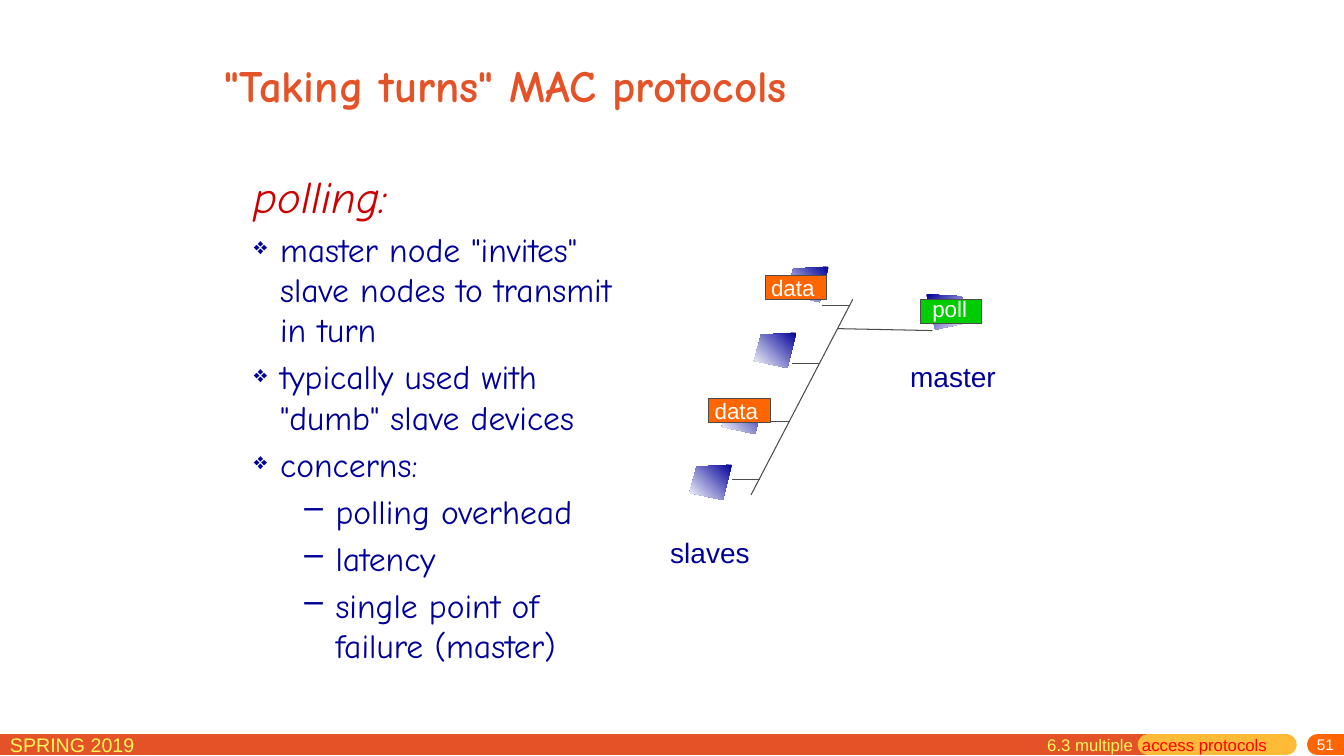
"""Build the slide on polling MAC protocols, with lengths in percent of the slide's size."""
from lxml.etree import SubElement
from pptx import Presentation
from pptx.dml.color import RGBColor
from pptx.enum.shapes import MSO_CONNECTOR, MSO_SHAPE
from pptx.enum.text import MSO_ANCHOR, PP_ALIGN
from pptx.oxml.ns import qn
from pptx.util import Inches, Pt

C = {k: RGBColor.from_string(v) for k, v in {
    "orange": "E45327", "amber": "FFBA37", "page": "FF6600", "lemon": "FFF65C",
    "red": "FF0000", "crimson": "CC0000", "navy": "000099", "white": "FFFFFF",
    "gray": "4C4C4C", "green": "00CC00"}.items()}

prs = Presentation()
prs.slide_width, prs.slide_height = Inches(13.33), Inches(7.5)
s = prs.slides.add_slide(prs.slide_layouts[6])


def place(*shares):
    size = prs.slide_width, prs.slide_height
    return [round(size[i % 2] * v / 100) for i, v in enumerate(shares)]


def text(*runs, box=None, tf=None, size=16, color="navy", font="Arial", bold=False,
         italic=False, align=PP_ALIGN.LEFT, anchor=MSO_ANCHOR.TOP, wrap=True,
         before=0, left=0, hang=0, bullet=None, bullet_size=100, tab=None):
    if tf is None:
        tf = s.shapes.add_textbox(*place(*box)).text_frame
        tf.word_wrap, tf.vertical_anchor = wrap, anchor
        p = tf.paragraphs[0]
    else:
        p = tf.add_paragraph()
    p.alignment = align
    if before:
        p.space_before = Pt(before)
    pPr = p._p.get_or_add_pPr()
    if left:
        pPr.set("marL", str(Inches(left)))
        pPr.set("indent", str(-Inches(hang)))
    if bullet:
        SubElement(pPr, qn("a:buSzPct")).set("val", str(bullet_size * 1000))
        SubElement(pPr, qn("a:buChar")).set("char", bullet)
    if tab:
        stop = SubElement(SubElement(pPr, qn("a:tabLst")), qn("a:tab"))
        stop.set("pos", str(Inches(tab)))
        stop.set("algn", "l")
    for words, tint in zip(runs, (color, "red")):
        r = p.add_run()
        r.text = words
        r.font.name, r.font.size = font, Pt(size)
        r.font.bold, r.font.italic = bold, italic
        r.font.color.rgb = C[tint]
    return tf


outline = [(3.15, 0), (0.53, 0.27), (0, 3.73), (2.48, 4.67)]
mirrored = [(3.15 - x, y) for x, y in outline]
nodes = [(51.3 + 2.4 * i, 61.47 - 8.73 * i, outline, 225) for i in range(4)]
nodes.append((68.93, 38.93, mirrored, 315))
for x, y, points, angle in nodes:
    corners = [place(x + dx, y + dy) for dx, dy in points]
    fb = s.shapes.build_freeform(*corners[0])
    fb.add_line_segments(corners[1:], close=True)
    sp = fb.convert_to_shape()
    sp.shadow.inherit = False
    sp.line.fill.background()
    sp.fill.gradient()
    sp.fill.gradient_angle = angle
    for stop, tint in zip(sp.fill.gradient_stops, ("navy", "white")):
        stop.color.rgb = C[tint]

lines = [(0, 98.53, 85.43, 98.53, "orange", 15),
         (85.43, 98.53, 95.7, 98.53, "amber", 15),
         (98.03, 98.53, 100, 98.53, "page", 15),
         (63.45, 39.6, 55.88, 65.47, "gray", 0.75),
         (62.33, 43.47, 69.38, 43.73, "gray", 0.75)]
for i in range(4):
    x, y = 54.45 + 2.23 * i, 63.47 - 7.69 * i
    lines.append((x, y, x + 2.1, y, "gray", 0.75))
for *ends, tint, width in lines:
    cn = s.shapes.add_connector(MSO_CONNECTOR.STRAIGHT, *place(*ends))
    cn.line.color.rgb, cn.line.width = C[tint], Pt(width)
    if width == 15:
        cn.line._get_or_add_ln().set("cap", "rnd")
    SubElement(cn._element.spPr, qn("a:effectLst"))

for label, x, y, tint, dx, dy, w in [("poll", 68.48, 39.6, "green", 0.15, -1.2, 4.13),
                                     ("data", 52.73, 52.67, "page", -0.3, -0.8, 4.73),
                                     ("data", 56.93, 36.4, "page", -0.3, -0.8, 4.73)]:
    sp = s.shapes.add_shape(MSO_SHAPE.RECTANGLE, *place(x, y, 4.58, 3.2))
    sp.shadow.inherit = False
    sp.fill.solid()
    sp.fill.fore_color.rgb = C[tint]
    sp.line.color.rgb, sp.line.width = C["gray"], Pt(0.75)
    text(label, box=(x + dx, y + dy, w, 4.93), color="white", wrap=False)

text("master", box=(66.98, 46.93, 7.88, 5.73), size=20, wrap=False)
text("slaves", box=(49.13, 70.13, 7.43, 5.73), size=20, wrap=False)

text('"Taking turns" MAC protocols', box=(15.98, 2.8, 63.75, 16.67), size=32,
     color="orange", font="Comic Neue", bold=True, anchor=MSO_ANCHOR.MIDDLE)

tf = text("polling:", box=(18.15, 21.6, 28.35, 73.87), size=32, color="crimson",
          font="Comic Neue", italic=True, left=0.38, hang=0.38)
for point in ('master node "invites" slave nodes to transmit in turn',
              'typically used with "dumb" slave devices', "concerns:"):
    text(point, tf=tf, size=24, font="Comic Neue", before=4.8,
         left=0.26, hang=0.26, bullet="❖", bullet_size=70)
for concern in ("polling overhead", "latency", "single point of failure (master)"):
    text(concern, tf=tf, size=24, font="Comic Neue", before=4.8,
         left=0.81, hang=0.31, bullet="–")
    tf.paragraphs[-1].level = 1

text("SPRING 2019", box=(0, 96.27, 17.18, 4.13), size=14, color="lemon")
text("6.3 multiple\t", "access protocols", box=(77.18, 96.53, 18.3, 4.13),
     size=12, color="lemon", tab=0.94)
tf = text("51", box=(80.63, 97.6, 19.37, 2.4), size=11, color="white",
          align=PP_ALIGN.RIGHT, anchor=MSO_ANCHOR.MIDDLE)
tf.margin_top = 0

prs.save("out.pptx")
